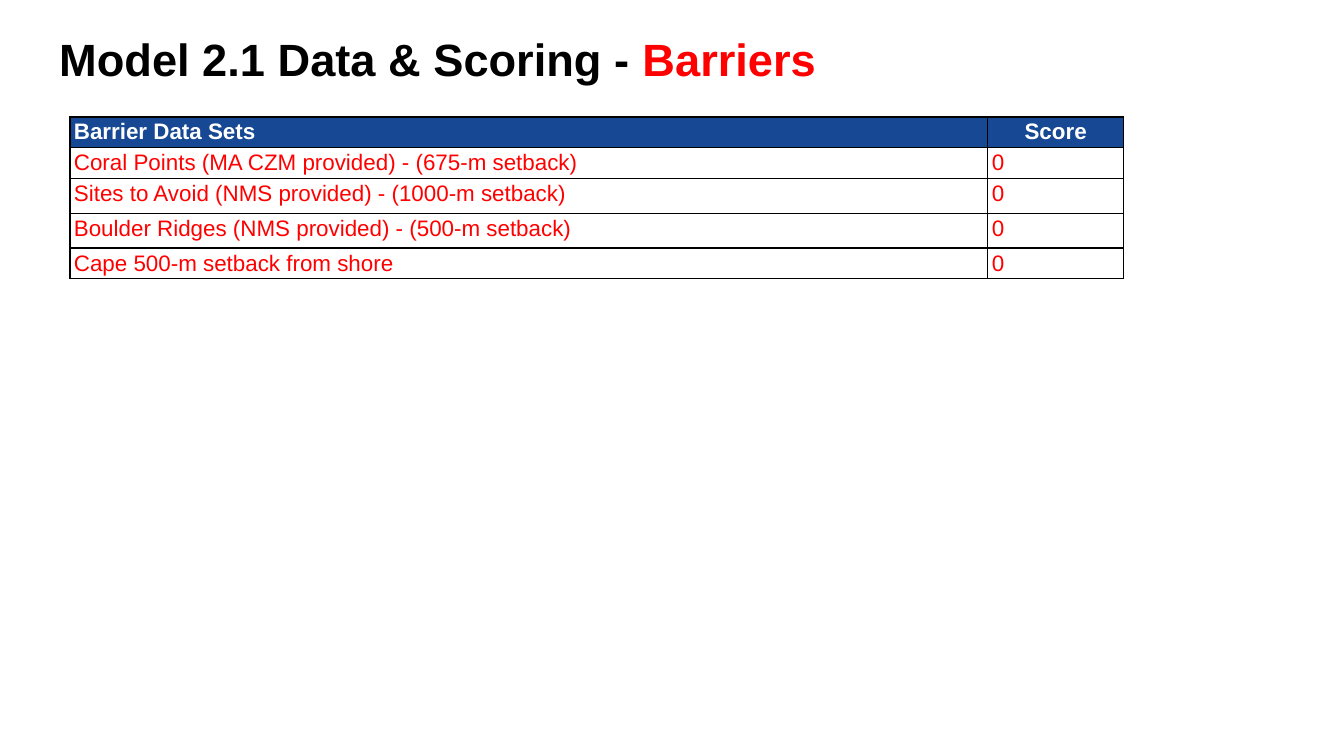
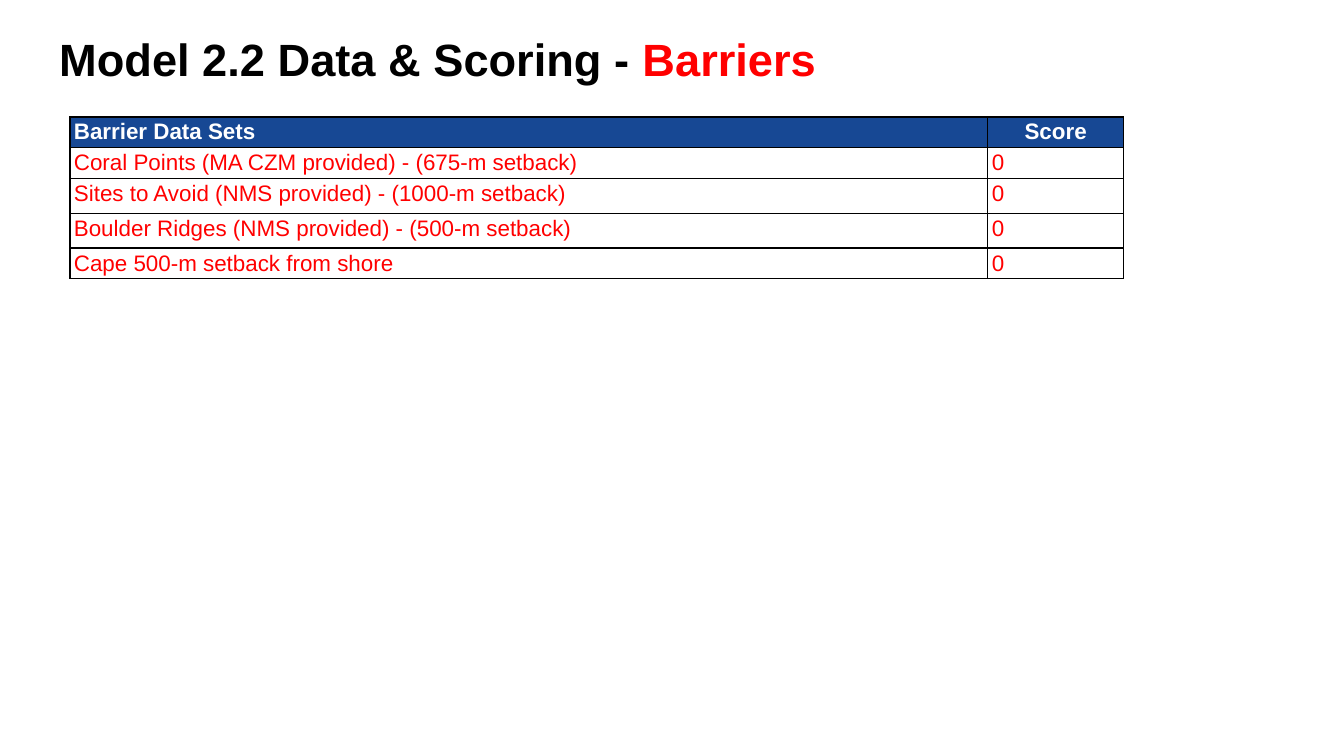
"""Build two slides that list the barrier data sets and their scores."""
from dataclasses import dataclass

from lxml.etree import SubElement as Sub
from pptx import Presentation
from pptx.dml.color import RGBColor as Rgb
from pptx.enum.text import MSO_ANCHOR as Anchor, PP_ALIGN as Align
from pptx.oxml.ns import qn
from pptx.util import Inches, Pt

FONT = "Arial"
COLORS = {"ink": "000000", "alert": "FF0000", "head": "174894", "paper": "FFFFFF"}
COLS = (6.83, 1.01)
TITLE_ONLY = 5


@dataclass(frozen=True)
class Row:
    label: str
    score: str
    height: float


HEAD = Row("Barrier Data Sets", "Score", 0.21)
ROWS = (
    HEAD,
    Row("Coral Points (MA CZM provided) - (675-m setback)", "0", 0.23),
    Row("Sites to Avoid (NMS provided) - (1000-m setback)", "0", 0.26),
    Row("Boulder Ridges (NMS provided) - (500-m setback)", "0", 0.26),
    Row("Cape 500-m setback from shore", "0", 0.22),
)
MODELS = ("2.1", "2.2")


def write(para, text: str, *, size: float, color: str, bold: bool = False,
          align: Align = Align.LEFT) -> None:
    para.alignment = align
    run = para.add_run()
    run.text = text
    font = run.font
    font.name, font.size, font.bold = FONT, Pt(size), bold
    font.color.rgb = Rgb.from_string(COLORS[color])


def pad(box, side: float, edge: float) -> None:
    box.margin_left = box.margin_right = Inches(side)
    box.margin_top = box.margin_bottom = Inches(edge)


def add_title(slide, model: str) -> None:
    title = slide.shapes.title
    title.left, title.top = Inches(0.34), Inches(0.12)
    title.width, title.height = Inches(9.32), Inches(0.63)
    frame = title.text_frame
    frame.word_wrap = True
    frame.vertical_anchor = Anchor.MIDDLE
    pad(frame, 0.1, 0.1)
    para = frame.paragraphs[0]
    write(para, f"Model {model} Data & Scoring - ", size=24.2, color="ink", bold=True)
    write(para, "Barriers", size=24.2, color="alert", bold=True)


def add_rules(cell) -> None:
    props = cell._tc.get_or_add_tcPr()
    for side in ("lnL", "lnR", "lnT", "lnB"):
        line = Sub(props, qn(f"a:{side}"), w=str(Pt(0.75)))
        fill = Sub(line, qn("a:solidFill"))
        Sub(fill, qn("a:srgbClr"), val=COLORS["ink"])


def fill_cell(cell, text: str, *, head: bool, align: Align) -> None:
    pad(cell, 0.03, 0.02)
    add_rules(cell)
    if head:
        cell.fill.solid()
        cell.fill.fore_color.rgb = Rgb.from_string(COLORS["head"])
    else:
        cell.fill.background()
    write(cell.text_frame.paragraphs[0], text, size=12, bold=head, align=align,
          color="paper" if head else "alert")


def add_scores(slide) -> None:
    high = sum(row.height for row in ROWS)
    table = slide.shapes.add_table(
        len(ROWS), len(COLS), Inches(0.52), Inches(0.87),
        Inches(sum(COLS)), Inches(high)).table
    table.horz_banding = False
    for col, width in zip(table.columns, COLS):
        col.width = Inches(width)
    for i, row in enumerate(ROWS):
        table.rows[i].height = Inches(row.height)
        head = row is HEAD
        fill_cell(table.cell(i, 0), row.label, head=head, align=Align.LEFT)
        fill_cell(table.cell(i, 1), row.score, head=head,
                  align=Align.CENTER if head else Align.LEFT)


def main() -> None:
    deck = Presentation()
    deck.slide_width = Inches(10)
    deck.slide_height = deck.slide_width * 9 // 16
    for model in MODELS:
        slide = deck.slides.add_slide(deck.slide_layouts[TITLE_ONLY])
        add_title(slide, model)
        add_scores(slide)
    deck.save("out.pptx")


if __name__ == "__main__":
    main()
